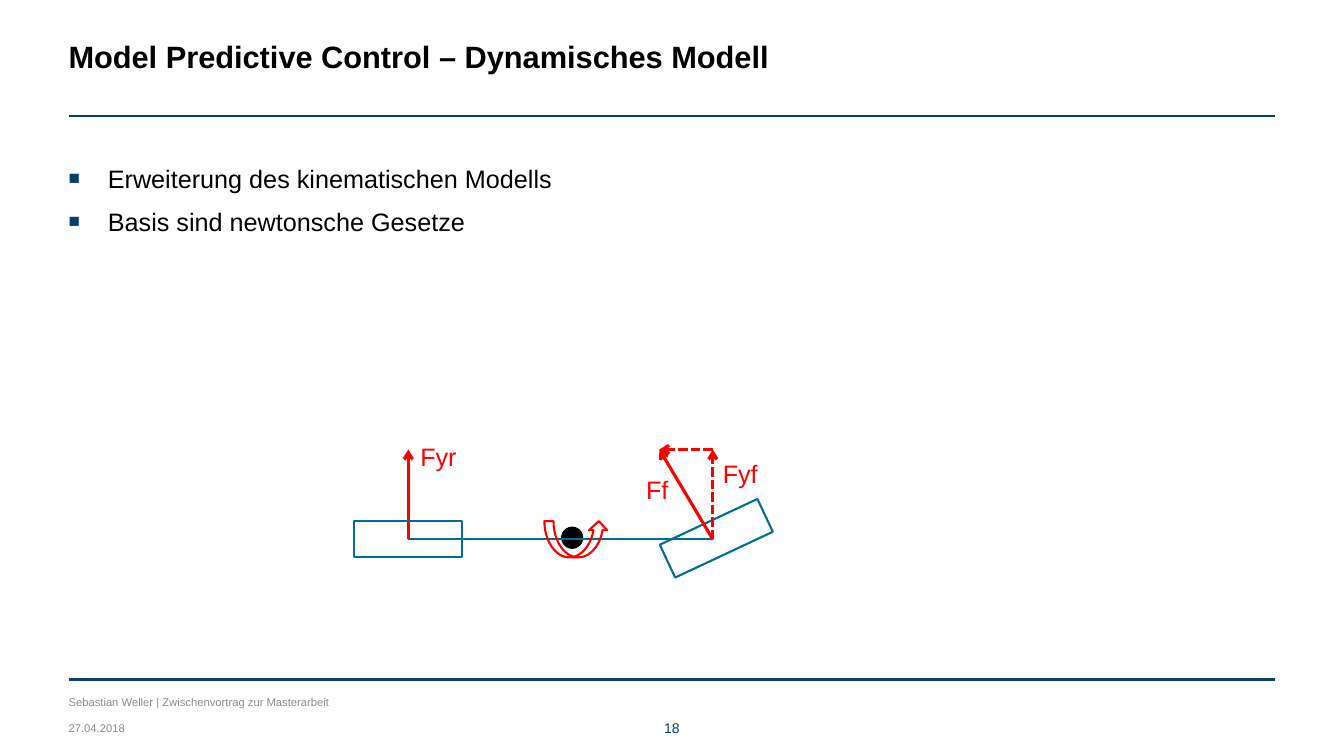
import pptx
import pptx.dml.color
import pptx.enum.dml
import pptx.enum.shapes
import pptx.enum.text
import pptx.oxml.ns
import pptx.util
from lxml import etree

Inches = pptx.util.Inches
Pt = pptx.util.Pt
SHAPE = pptx.enum.shapes.MSO_SHAPE
ALIGN = pptx.enum.text.PP_ALIGN

COLOURS = {
    "text": "000000",
    "footer": "8C8C8C",
    "accent": "00406F",
    "footer_rule": "0F416E",
    "vehicle": "006E92",
    "force": "FF0000",
}
LEFT, RIGHT = 0.68, 12.65
REAR_AXLE = (4.05, 5.35)
FRONT_AXLE = (7.07, 5.35)
FORCE_TOP = 4.46
FRONT_FORCE_X = 6.54
WHEEL_SIZE = (1.07, 0.36)


def rgb(name):
    return pptx.dml.color.RGBColor.from_string(COLOURS[name])


def add_xml(parent, tag, **attributes):
    return etree.SubElement(parent, pptx.oxml.ns.qn(tag), attributes)


def add_bullet(paragraph):
    """Give the paragraph a hanging indent and a small square bullet."""
    properties = paragraph._p.get_or_add_pPr()
    properties.set("marL", str(Inches(0.39)))
    properties.set("indent", str(-Inches(0.39)))
    colour = add_xml(properties, "a:buClr")
    add_xml(colour, "a:srgbClr", val=COLOURS["accent"])
    add_xml(properties, "a:buSzPct", val="75000")
    add_xml(properties, "a:buFont", typeface="Arial")
    add_xml(properties, "a:buChar", char="■")


def add_text(slide, box, lines, size, colour, bold=False, align=ALIGN.LEFT,
             bullets=False, space_after=0):
    """Add a wrapping text box without margins, one paragraph per line."""
    shape = slide.shapes.add_textbox(*map(Inches, box))
    frame = shape.text_frame
    frame.word_wrap = True
    frame.margin_left = frame.margin_right = 0
    frame.margin_top = frame.margin_bottom = 0
    for index, line in enumerate(lines):
        paragraph = frame.add_paragraph() if index else frame.paragraphs[0]
        paragraph.alignment = align
        paragraph.space_after = Pt(space_after)
        if bullets:
            add_bullet(paragraph)
        run = paragraph.add_run()
        run.text = line
        run.font.name = "Arial"
        run.font.size = Pt(size)
        run.font.bold = bold
        run.font.color.rgb = rgb(colour)
    return frame


def add_force_label(slide, box, label):
    frame = add_text(slide, box, [label], 18, "force")
    frame.word_wrap = False
    frame.margin_left = frame.margin_right = Inches(0.1)
    frame.margin_top = frame.margin_bottom = Inches(0.05)


def add_line(slide, start, end, colour, width):
    line = slide.shapes.add_connector(
        pptx.enum.shapes.MSO_CONNECTOR.STRAIGHT, *map(Inches, start + end))
    line.line.color.rgb = rgb(colour)
    line.line.width = Pt(width)
    add_xml(line._element.spPr, "a:effectLst")
    return line


def add_force(slide, start, end, dashed=False):
    """Add a force arrow; components of a force are dashed."""
    arrow = add_line(slide, start, end, "force", 2.25)
    if dashed:
        arrow.line.dash_style = pptx.enum.dml.MSO_LINE.SQUARE_DOT
        # SQUARE_DOT is sysDot; the short dash has its own preset value
        arrow.line.dash_style = pptx.enum.dml.MSO_LINE.DASH
        arrow.line._ln.find(pptx.oxml.ns.qn("a:prstDash")).set("val", "sysDash")
    add_xml(arrow.line._ln, "a:tailEnd", type="arrow")


def add_outline(slide, kind, box, colour, width, rotation=0, fill=None):
    shape = slide.shapes.add_shape(kind, *map(Inches, box))
    shape.shadow.inherit = False
    shape.rotation = rotation
    shape.line.color.rgb = rgb(colour)
    shape.line.width = Pt(width)
    if fill:
        shape.fill.solid()
        shape.fill.fore_color.rgb = rgb(fill)
    else:
        shape.fill.background()


def add_frame(slide):
    """Add the title, the rules and the footer."""
    width = RIGHT - LEFT
    add_line(slide, (LEFT, 6.74), (RIGHT, 6.74), "footer_rule", 2.5)
    add_line(slide, (LEFT, 1.15), (RIGHT, 1.15), "accent", 1)
    add_text(slide, (LEFT, 0.37, width, 0.37),
             ["Model Predictive Control – Dynamisches Modell"], 22, "text", bold=True)
    add_text(slide, (LEFT, 6.9, 4.22, 0.13),
             ["Sebastian Weller | Zwischenvortrag zur Masterarbeit"], 8, "footer")
    add_text(slide, (LEFT, 7.16, 3.11, 0.13), ["27.04.2018"], 8, "footer")
    add_text(slide, (6.35, 7.14, 0.63, 0.17), ["18"], 10, "accent", align=ALIGN.CENTER)


def add_vehicle_model(slide):
    force_tip = (FRONT_FORCE_X, FORCE_TOP)
    rear_top = (REAR_AXLE[0], FORCE_TOP)
    front_top = (FRONT_AXLE[0], FORCE_TOP)

    add_outline(slide, SHAPE.OVAL, (5.57, 5.23, 0.21, 0.21), "text", 0.75, fill="text")
    add_line(slide, REAR_AXLE, FRONT_AXLE, "vehicle", 1.5)
    add_outline(slide, SHAPE.RECTANGLE, (6.57, 5.16) + WHEEL_SIZE, "vehicle", 1.5,
                rotation=334.9)
    add_force(slide, REAR_AXLE, rear_top)
    add_force(slide, FRONT_AXLE, force_tip)
    add_outline(slide, SHAPE.CURVED_UP_ARROW, (5.4, 5.17, 0.63, 0.36), "force", 1.5)
    add_outline(slide, SHAPE.RECTANGLE, (3.51, 5.17) + WHEEL_SIZE, "vehicle", 1.5)
    add_force(slide, FRONT_AXLE, front_top, dashed=True)
    add_force(slide, front_top, force_tip, dashed=True)

    add_force_label(slide, (4.07, 4.33, 0.57, 0.4), "Fyr")
    add_force_label(slide, (6.31, 4.66, 0.43, 0.4), "Ff")
    add_force_label(slide, (7.07, 4.5, 0.55, 0.4), "Fyf")


def main():
    presentation = pptx.Presentation()
    presentation.slide_width = Inches(13.33)
    presentation.slide_height = Inches(7.5)
    slide = presentation.slides.add_slide(presentation.slide_layouts[6])
    add_frame(slide)
    add_text(slide, (LEFT, 1.62, RIGHT - LEFT, 4.96),
             ["Erweiterung des kinematischen Modells", "Basis sind newtonsche Gesetze"],
             18, "text", bullets=True, space_after=9)
    add_vehicle_model(slide)
    presentation.save("out.pptx")


if __name__ == "__main__":
    main()
